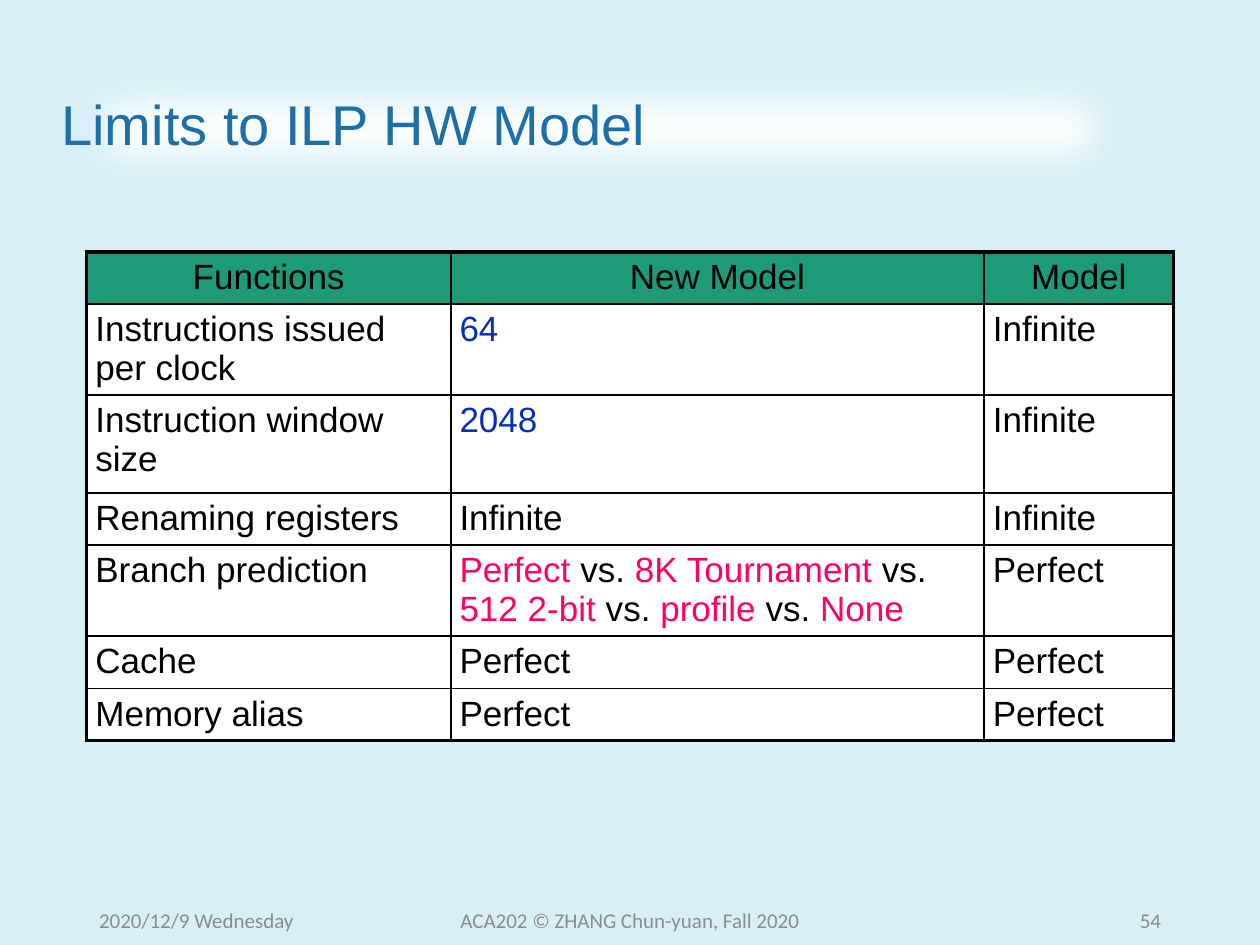
"""Build the slide on the limits of the ILP hardware model."""
from dataclasses import dataclass

from lxml import etree
from pptx import Presentation
from pptx.dml.color import RGBColor
from pptx.enum.shapes import MSO_SHAPE
from pptx.enum.text import MSO_ANCHOR, PP_ALIGN
from pptx.oxml.ns import qn
from pptx.util import Pt

RECT = MSO_SHAPE.RECTANGLE
MIDDLE = MSO_ANCHOR.MIDDLE
LEFT, CENTER, RIGHT = PP_ALIGN.LEFT, PP_ALIGN.CENTER, PP_ALIGN.RIGHT


@dataclass(frozen=True)
class Theme:
    """Colours, fonts and sizes of the slide."""
    back: str = "D7EFF5"
    white: str = "FFFFFF"
    title: str = "1D6FA9"
    head: str = "1D9A78"
    ink: str = "000000"
    blue: str = "0332B7"
    pink: str = "FF0066"
    foot: str = "8C8C8C"
    face: str = "Arial"
    small_face: str = "Calibri"
    title_size: float = 32
    body_size: float = 20
    foot_size: float = 12
    thick: float = 2.25
    thin: float = 1


THEME = Theme()
TITLE = "Limits to ILP HW Model"
MIX = [("Perfect ", THEME.pink), ("vs.", THEME.ink),
       (" 8K Tournament", THEME.pink), (" vs.", THEME.ink),
       (" 512 2-bit ", THEME.pink), ("vs. ", THEME.ink),
       ("profile", THEME.pink), (" vs. ", THEME.ink),
       ("None", THEME.pink)]
ROWS = [
    ("Functions", "New Model", "Model"),
    ("Instructions issued per clock", [("64", THEME.blue)], "Infinite"),
    ("Instruction window size", [("2048", THEME.blue)], "Infinite"),
    ("Renaming registers", "Infinite", "Infinite"),
    ("Branch prediction", MIX, "Perfect"),
    ("Cache", "Perfect", "Perfect"),
    ("Memory alias", "Perfect", "Perfect"),
]
WIDTHS = (208.1, 304.8, 108.3)
HEIGHTS = (29.7, 52, 56, 29.7, 52, 30, 29.7)
FOOTERS = [
    ("2020/12/9 Wednesday", 49.5, 162, LEFT),
    ("ACA202 © ZHANG Chun-yuan, Fall 2020", 238.5, 243, CENTER),
    ("54", 508.5, 162, RIGHT),
]


def paint(fill, color):
    fill.solid()
    fill.fore_color.rgb = RGBColor.from_string(color)


def write(frame, text, face, size, color, align=LEFT):
    para = frame.paragraphs[0]
    para.alignment = align
    para.font.name, para.font.size = face, Pt(size)
    pieces = [(text, color)] if isinstance(text, str) else text
    for words, tone in pieces:
        run = para.add_run()
        run.text = words
        run.font.color.rgb = RGBColor.from_string(tone)
    return para


def add_title(slide):
    box = slide.shapes.add_shape(RECT, Pt(28), Pt(28.8), Pt(625.7), Pt(88.5))
    paint(box.fill, THEME.white)
    box.line.fill.background()
    box.shadow.inherit = False
    effects = box.element.spPr.find(qn("a:effectLst"))
    etree.SubElement(effects, qn("a:softEdge"), rad=str(Pt(25)))
    frame = box.text_frame
    frame.word_wrap, frame.vertical_anchor = True, MIDDLE
    para = write(frame, TITLE, THEME.face, THEME.title_size, THEME.title)
    para.line_spacing = 0.9


def add_edges(cell, outer):
    props = cell._tc.get_or_add_tcPr()
    for side in "LRTB":
        width = THEME.thick if side in outer else THEME.thin
        line = etree.SubElement(props, qn(f"a:ln{side}"), w=str(Pt(width)))
        fill = etree.SubElement(line, qn("a:solidFill"))
        etree.SubElement(fill, qn("a:srgbClr"), val=THEME.ink)


def add_grid(slide):
    table = slide.shapes.add_table(
        len(ROWS), len(WIDTHS), Pt(49.5), Pt(144),
        Pt(sum(WIDTHS)), Pt(sum(HEIGHTS))).table
    table.first_row = table.horz_banding = False
    for col, width in zip(table.columns, WIDTHS):
        col.width = Pt(width)
    for row, height in zip(table.rows, HEIGHTS):
        row.height = Pt(height)
    for r, row in enumerate(ROWS):
        for c, text in enumerate(row):
            cell = table.cell(r, c)
            sides = {"L": c == 0, "R": c == len(WIDTHS) - 1,
                     "T": r == 0, "B": r == len(ROWS) - 1}
            add_edges(cell, [side for side in sides if sides[side]])
            paint(cell.fill, THEME.white if r else THEME.head)
            cell.margin_left = cell.margin_right = Pt(5)
            cell.margin_top = cell.margin_bottom = Pt(3.6)
            write(cell.text_frame, text, THEME.face, THEME.body_size,
                  THEME.ink, LEFT if r else CENTER)


def add_footers(slide):
    for text, left, width, align in FOOTERS:
        frame = slide.shapes.add_textbox(
            Pt(left), Pt(511.2), Pt(width), Pt(28.8)).text_frame
        frame.word_wrap, frame.vertical_anchor = True, MIDDLE
        write(frame, text, THEME.small_face, THEME.foot_size,
              THEME.foot, align)


def main():
    deck = Presentation()
    deck.slide_width, deck.slide_height = Pt(720), Pt(540)
    slide = deck.slides.add_slide(deck.slide_layouts[6])
    paint(slide.background.fill, THEME.back)
    add_title(slide)
    add_grid(slide)
    add_footers(slide)
    deck.save("out.pptx")


if __name__ == "__main__":
    main()
